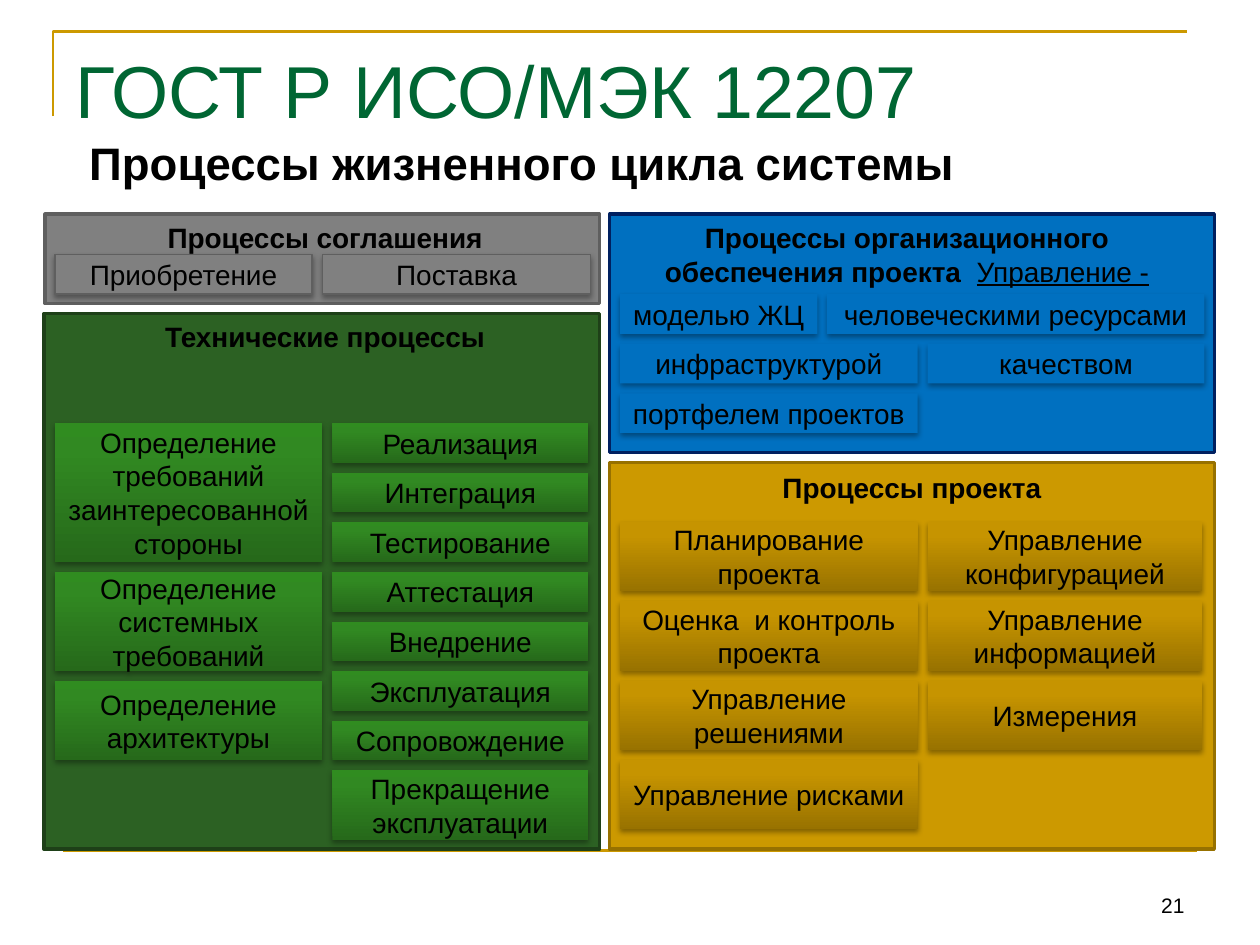
from copy import deepcopy

from lxml.etree import SubElement
from pptx import Presentation
from pptx.dml.color import RGBColor
from pptx.enum.shapes import MSO_CONNECTOR, MSO_SHAPE
from pptx.enum.text import MSO_ANCHOR as Anchor, PP_ALIGN as Align
from pptx.oxml.ns import qn
from pptx.util import Cm, Pt

FONT = "Arial"
GAP = 0.2     # between neighbouring process boxes, cm
ROW = 0.8     # height of a one-line process box, cm
TALL = 1.4    # height of a two-line process box, cm

COLORS = {
    "text": "000000", "title": "006633", "frame": "CC9900",
    "agreement": "808080", "agreement_edge": "5F5F5F",
    "technical": "2C6123", "technical_edge": "1E4018",
    "organization": "0070C0", "organization_edge": "002060",
    "project": "CC9900", "project_edge": "977100",
}
# Gradient stops from the bottom of a box to its top
GRADIENTS = {
    "technical": [(0, "26691A"), (0.8, "318922"), (1, "308C20")],
    "project": [(0, "987200"), (0.8, "C69400"), (1, "C79500")],
}


def rgb(name):
    return RGBColor.from_string(COLORS[name])


def format_run(run, size, color="text", bold=False):
    run.font.name = FONT
    run.font.size = Pt(size)
    run.font.bold = bold
    run.font.color.rgb = rgb(color)


def add_text(slide, text, left, top, width, height, size, color="text",
             bold=False, align=Align.LEFT, anchor=Anchor.TOP):
    box = slide.shapes.add_textbox(Cm(left), Cm(top), Cm(width), Cm(height))
    frame = box.text_frame
    frame.word_wrap = True
    frame.vertical_anchor = anchor
    paragraph = frame.paragraphs[0]
    paragraph.text = text
    paragraph.alignment = align
    format_run(paragraph.runs[0], size, color, bold)
    return frame


def add_heading(slide, text, left, top, width, height=0.94):
    return add_text(slide, text, left, top, width, height, 16, bold=True,
                    align=Align.CENTER)


def add_rectangle(slide, left, top, width, height):
    rectangle = slide.shapes.add_shape(
        MSO_SHAPE.RECTANGLE, Cm(left), Cm(top), Cm(width), Cm(height))
    rectangle.shadow.inherit = False
    return rectangle


def add_panel(slide, group, left, top, width, height):
    panel = add_rectangle(slide, left, top, width, height)
    panel.fill.solid()
    panel.fill.fore_color.rgb = rgb(group)
    panel.line.color.rgb = rgb(group + "_edge")
    panel.line.width = Pt(2)


def fill_gradient(shape, stops):
    shape.fill.gradient()
    shape.fill.gradient_angle = 90
    stop_list = shape._element.spPr.find(qn("a:gradFill")).find(qn("a:gsLst"))
    stop_list.append(deepcopy(stop_list[-1]))
    for stop, (position, color) in zip(shape.fill.gradient_stops, stops):
        stop.position = position
        stop.color.rgb = RGBColor.from_string(color)


def add_soft_shadow(shape):
    effects = shape._element.spPr.find(qn("a:effectLst"))
    shadow = SubElement(effects, qn("a:outerShdw"), blurRad="40000",
                        dist="23000", dir="5400000", rotWithShape="0")
    color = SubElement(shadow, qn("a:srgbClr"), val=COLORS["text"])
    SubElement(color, qn("a:alpha"), val="35000")


def add_process(slide, group, text, left, top, width, height=ROW):
    process = add_rectangle(slide, left, top, width, height)
    add_soft_shadow(process)
    if group in GRADIENTS:
        fill_gradient(process, GRADIENTS[group])
    else:
        process.fill.solid()
        process.fill.fore_color.rgb = rgb(group)
    if group == "agreement":
        process.line.color.rgb = rgb("agreement_edge")
        process.line.width = Pt(0.75)
    else:
        process.line.fill.background()
    frame = process.text_frame
    frame.word_wrap = True
    frame.vertical_anchor = Anchor.MIDDLE
    frame.margin_left = frame.margin_right = Cm(0.2)
    paragraph = frame.paragraphs[0]
    paragraph.text = text
    paragraph.alignment = Align.CENTER
    format_run(paragraph.runs[0], 16)


def add_column(slide, group, left, top, width, processes):
    """Stack (text, height) boxes downwards with equal gaps."""
    for text, height in processes:
        add_process(slide, group, text, left, top, width, height)
        top += height + GAP


def add_frame(slide):
    corner = slide.shapes.build_freeform(Cm(1.07), Cm(2.34), scale=1.0)
    corner.add_line_segments(
        [(Cm(1.07), Cm(0.64)), (Cm(23.93), Cm(0.64))], close=False)
    outline = corner.convert_to_shape()
    outline.shadow.inherit = False
    outline.fill.background()
    rule = slide.shapes.add_connector(
        MSO_CONNECTOR.STRAIGHT, Cm(1.27), Cm(17.15), Cm(24.13), Cm(17.15))
    SubElement(rule._element.spPr, qn("a:effectLst"))
    for line in (outline.line, rule.line):
        line.color.rgb = rgb("frame")
        line.width = Pt(1.5)


def add_agreement(slide):
    add_panel(slide, "agreement", 0.91, 4.32, 11.18, 1.8)
    add_heading(slide, "Процессы соглашения", 2.49, 4.32, 8.13)
    add_process(slide, "agreement", "Приобретение", 1.11, 5.13, 5.18)
    add_process(slide, "agreement", "Поставка", 6.5, 5.13, 5.41)


def add_technical(slide):
    add_panel(slide, "technical", 0.89, 6.32, 11.2, 10.8)
    add_heading(slide, "Технические процессы", 2.49, 6.32, 8.13)
    add_column(slide, "technical", 1.1, 8.53, 5.4, [
        ("Определение требований заинтересованной стороны", 2.8),
        ("Определение системных требований", 2),
        ("Определение архитектуры", 1.6)])
    stages = ["Реализация", "Интеграция", "Тестирование", "Аттестация",
              "Внедрение", "Эксплуатация", "Сопровождение"]
    add_column(slide, "technical", 6.7, 8.53, 5.16,
               [(stage, ROW) for stage in stages]
               + [("Прекращение эксплуатации", TALL)])


def add_organization(slide):
    add_panel(slide, "organization", 12.29, 4.32, 12.19, 4.8)
    heading = add_heading(
        slide, "Процессы организационного обеспечения проекта  ",
        12.29, 4.32, 11.99, 1.63)
    management = heading.paragraphs[0].add_run()
    management.text = "Управление -"
    format_run(management, 16)
    management.font.underline = True
    for text, left, row, width in [
            ("моделью ЖЦ", 12.5, 0, 3.98),
            ("человеческими ресурсами", 16.67, 0, 7.61),
            ("инфраструктурой", 12.5, 1, 6),
            ("качеством", 18.7, 1, 5.58),
            ("портфелем проектов", 12.5, 2, 6)]:
        add_process(slide, "organization", text, left,
                    5.93 + row * (ROW + GAP), width)


def add_project(slide):
    add_panel(slide, "project", 12.29, 9.32, 12.19, 7.8)
    add_heading(slide, "Процессы проекта", 12.29, 9.37, 12.19)
    for left, width, texts in [
            (12.5, 6, ["Планирование проекта", "Оценка  и контроль проекта",
                       "Управление решениями", "Управление рисками"]),
            (18.7, 5.54, ["Управление конфигурацией",
                          "Управление информацией", "Измерения"])]:
        add_column(slide, "project", left, 10.52, width,
                   [(text, TALL) for text in texts])


def main():
    deck = Presentation()
    deck.slide_width, deck.slide_height = Cm(25.4), Cm(19.05)
    slide = deck.slides.add_slide(deck.slide_layouts[6])

    # Frame, title and page number
    add_frame(slide)
    title = add_text(slide, "ГОСТ Р ИСО/МЭК 12207", 1.27, 0.76, 22.86, 2.01,
                     42, "title", anchor=Anchor.BOTTOM)
    title.margin_bottom = Cm(0.08)
    subtitle = add_text(slide, "Процессы жизненного цикла системы",
                        1.55, 2.54, 22.86, 1.78, 26, bold=True)
    subtitle.margin_top = Cm(0.18)
    add_text(slide, "21", 18.21, 17.35, 5.92, 1.27, 12,
             align=Align.RIGHT, anchor=Anchor.BOTTOM)

    # Four groups of life cycle processes
    add_agreement(slide)
    add_technical(slide)
    add_organization(slide)
    add_project(slide)

    deck.save("out.pptx")


if __name__ == "__main__":
    main()
